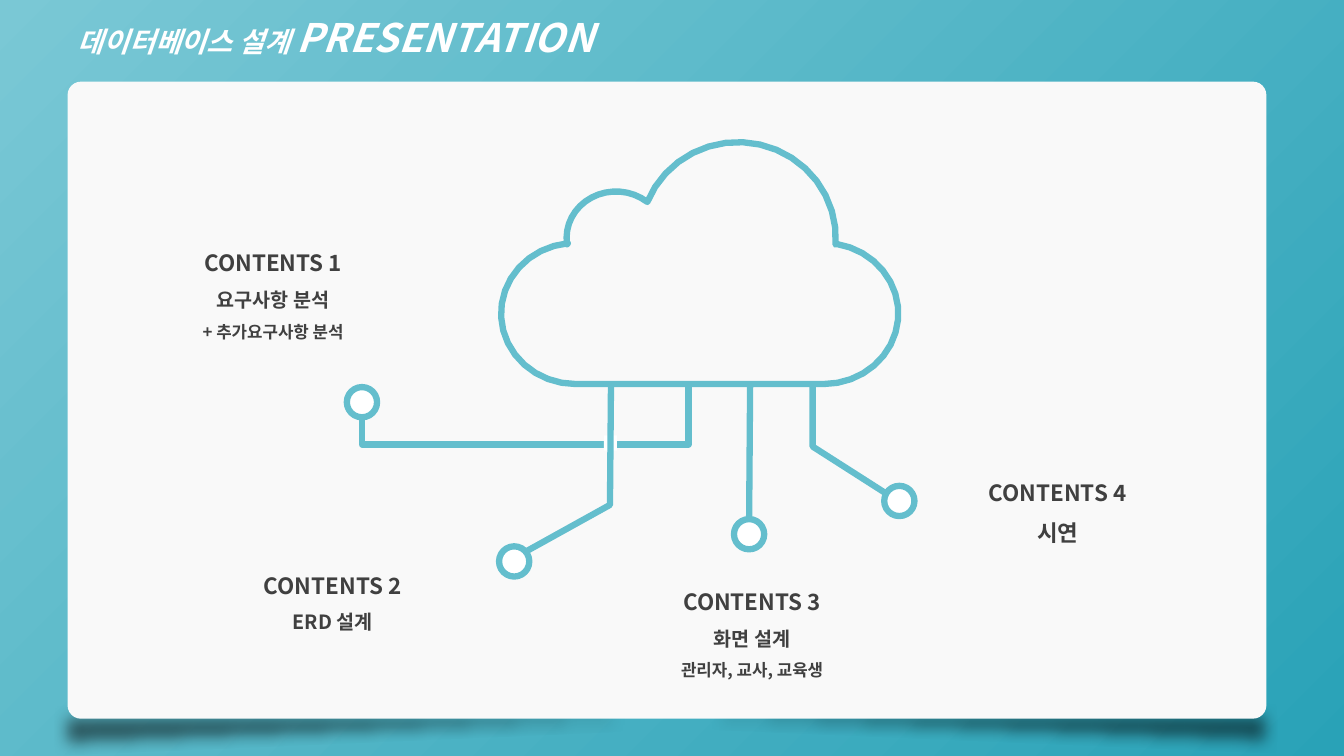
import math

import lxml.etree
import pptx
import pptx.dml.color
import pptx.enum.shapes
import pptx.enum.text
import pptx.oxml.ns
import pptx.util

Inches = pptx.util.Inches
Pt = pptx.util.Pt
qn = pptx.oxml.ns.qn
rgb = pptx.dml.color.RGBColor.from_string
SHAPE = pptx.enum.shapes.MSO_SHAPE
CONNECTOR = pptx.enum.shapes.MSO_CONNECTOR
ALIGN = pptx.enum.text.PP_ALIGN

FONT = "Noto Sans CJK KR"
COLORS = {
    "light": "7AC8D5",
    "deep": "29A2B7",
    "card": "F9F9F9",
    "circuit": "64BECD",
    "white": "FFFFFF",
    "text": "404040",
    "shadow": "000000",
}


def add_run(paragraph, text, size, color, italic=None):
    run = paragraph.add_run()
    run.text = text
    run.font.name = FONT
    run.font.size = Pt(size)
    run.font.bold = True
    run.font.italic = italic
    run.font.color.rgb = rgb(COLORS[color])
    east_asian = lxml.etree.SubElement(run.font._element, qn("a:ea"))
    east_asian.set("typeface", FONT)


def style_shape(shape, fill=None, line=None):
    shape.shadow.inherit = False
    if fill:
        shape.fill.solid()
        shape.fill.fore_color.rgb = rgb(COLORS[fill])
    else:
        shape.fill.background()
    if line:
        shape.line.color.rgb = rgb(COLORS[line])
        shape.line.width = Pt(4.5)
    else:
        shape.line.fill.background()


presentation = pptx.Presentation()
presentation.slide_width = Inches(13.33)
presentation.slide_height = Inches(7.5)
slide = presentation.slides.add_slide(presentation.slide_layouts[5])
shapes = slide.shapes

background = slide.background.fill
background.gradient()
background.gradient_angle = 315
for stop, name in zip(background.gradient_stops, ("light", "deep")):
    stop.color.rgb = rgb(COLORS[name])

title = shapes.title
title.left, title.top = Inches(0.67), Inches(0.08)
title.width, title.height = Inches(7.52), Inches(0.57)
title.text_frame.vertical_anchor = pptx.enum.text.MSO_ANCHOR.TOP
title.text_frame.auto_size = pptx.enum.text.MSO_AUTO_SIZE.SHAPE_TO_FIT_TEXT
heading = title.text_frame.paragraphs[0]
heading.alignment = ALIGN.LEFT
add_run(heading, "데이터베이스 설계 ", 20, "white", True)
add_run(heading, "PRESENTATION", 28, "white", True)

for left, top, flips in ((0.65, 6.98, ("flipH", "flipV")), (0.54, 7, ("flipV",))):
    shadow = shapes.add_shape(
        SHAPE.RIGHT_TRIANGLE, Inches(left), Inches(top), Inches(12.02), Inches(0.5)
    )
    style_shape(shadow, "shadow")
    properties = shadow._element.spPr
    for flip in flips:
        properties.find(qn("a:xfrm")).set(flip, "1")
    shade = properties.find(qn("a:solidFill"))[0]
    lxml.etree.SubElement(shade, qn("a:alpha")).set("val", "51000")
    effects = properties.find(qn("a:effectLst"))
    lxml.etree.SubElement(effects, qn("a:softEdge")).set("rad", "127000")

card = shapes.add_shape(
    SHAPE.ROUNDED_RECTANGLE, Inches(0.67), Inches(0.81), Inches(11.89), Inches(6.32)
)
card.adjustments[0] = 0.021
style_shape(card, "card")

cloud_lobes = (
    (5.71, 3.11, 0.74, 0.7, 90, 264),
    (6.11, 2.36, 0.49, 0.46, 172, 309),
    (7.32, 2.36, 0.97, 0.95, 202, 364),
    (8.17, 3.11, 0.74, 0.7, 280, 450),
)
ARC_STEPS = 16
cloud_points = []
for center_x, center_y, radius_x, radius_y, start, end in cloud_lobes:
    for step in range(ARC_STEPS + 1):
        angle = math.radians(start + (end - start) * step / ARC_STEPS)
        cloud_points.append(
            (center_x + radius_x * math.cos(angle), center_y + radius_y * math.sin(angle))
        )

outlines = (
    (cloud_points, True),
    ([(8.06, 3.84), (8.06, 4.43), (8.78, 4.89)], False),
)
bent_branch = ([(6.06, 3.81), (6.05, 5.01), (5.22, 5.47)], False)

elbow = shapes.add_connector(
    CONNECTOR.ELBOW, Inches(5.4), Inches(5.59), Inches(5.02), Inches(2.35)
)
elbow_properties = elbow._element.spPr
elbow_properties.find(qn("a:xfrm")).set("rot", "5400000")
guides = elbow_properties.find(qn("a:prstGeom")).get_or_add_avLst()
guide = lxml.etree.SubElement(guides, qn("a:gd"))
guide.set("name", "adj1")
guide.set("fmla", "val -65800")

stem = shapes.add_connector(
    CONNECTOR.STRAIGHT, Inches(7.44), Inches(3.81), Inches(7.43), Inches(5.15)
)
for connector in (elbow, stem):
    connector.line.color.rgb = rgb(COLORS["circuit"])
    connector.line.width = Pt(4.5)
    lxml.etree.SubElement(connector._element.spPr, qn("a:effectLst"))

gap = shapes.add_shape(
    SHAPE.RECTANGLE, Inches(5.99), Inches(4.32), Inches(0.13), Inches(0.15)
)
style_shape(gap, "white")

for points, closed in (*outlines, bent_branch):
    corners = [(Inches(x), Inches(y)) for x, y in points]
    builder = shapes.build_freeform(*corners[0])
    builder.add_line_segments(corners[1:], close=closed)
    style_shape(builder.convert_to_shape(), line="circuit")

for left, top in ((3.44, 3.84), (7.28, 5.15), (8.77, 4.82), (4.95, 5.42)):
    node = shapes.add_shape(
        SHAPE.OVAL, Inches(left), Inches(top), Inches(0.3), Inches(0.3)
    )
    style_shape(node, "white", "circuit")

contents = (
    (1.38, 2.29, 1.16, (("CONTENTS 1", 16), ("요구사항 분석", 14), ("+ 추가요구사항 분석", 12))),
    (1.97, 5.49, 0.86, (("CONTENTS 2", 16), ("ERD 설계", 14))),
    (6.13, 5.65, 1.16, (("CONTENTS 3", 16), ("화면 설계", 14), ("관리자, 교사, 교육생", 12))),
    (9.16, 4.57, 0.91, (("CONTENTS 4", 16), ("시연", 16))),
)
for left, top, height, lines in contents:
    label = shapes.add_textbox(Inches(left), Inches(top), Inches(2.66), Inches(height))
    frame = label.text_frame
    frame.word_wrap = True
    frame.auto_size = pptx.enum.text.MSO_AUTO_SIZE.SHAPE_TO_FIT_TEXT
    for index, (text, size) in enumerate(lines):
        paragraph = frame.add_paragraph() if index else frame.paragraphs[0]
        paragraph.alignment = ALIGN.CENTER
        paragraph.line_spacing = 1.5
        add_run(paragraph, text, size, "text")

presentation.save("out.pptx")
